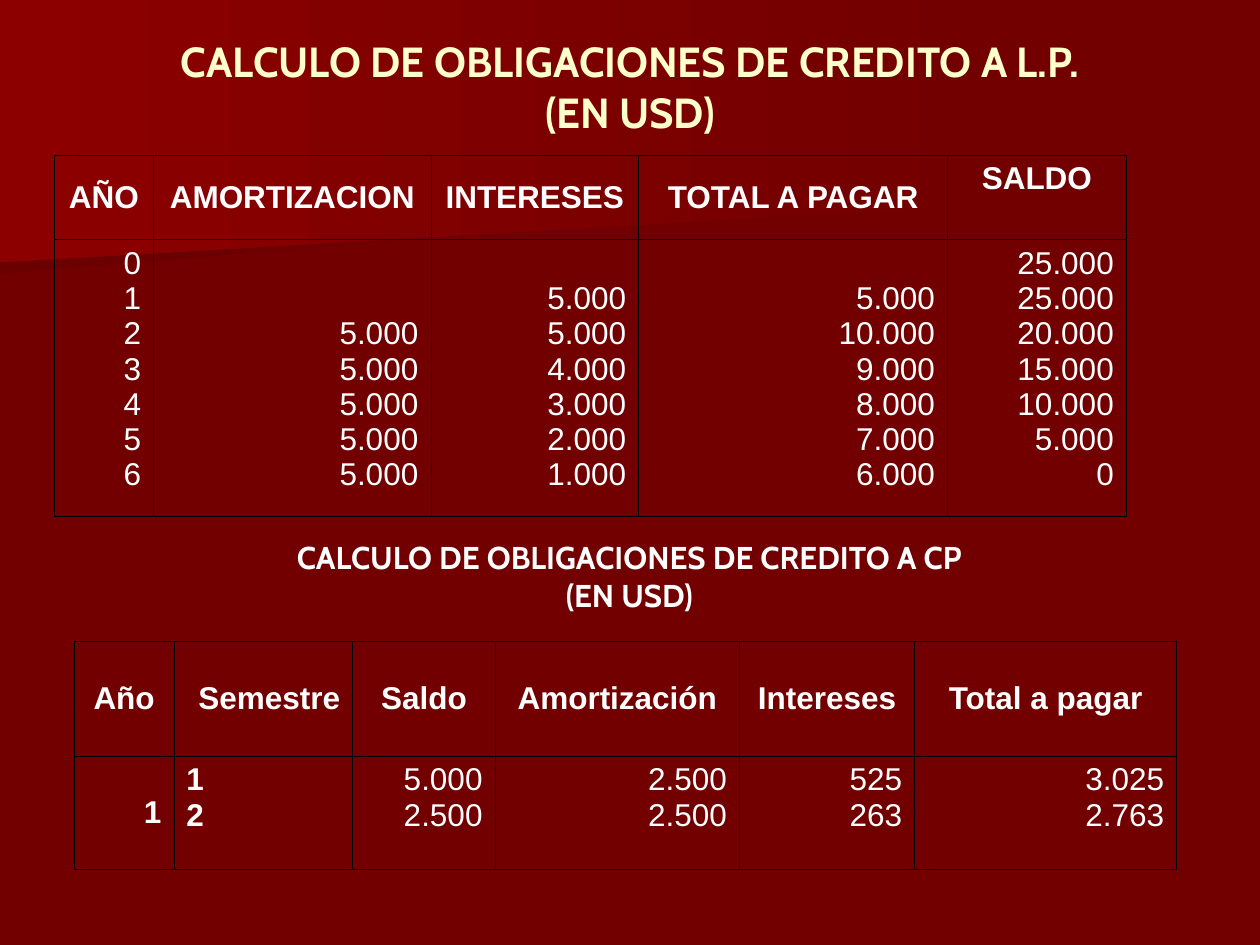
from dataclasses import dataclass

from lxml import etree
from pptx import Presentation
from pptx.dml.color import RGBColor
from pptx.enum import text
from pptx.oxml import ns
from pptx.util import Inches, Pt

LEFT, CENTER, RIGHT = text.PP_ALIGN.LEFT, text.PP_ALIGN.CENTER, text.PP_ALIGN.RIGHT
TOP, MIDDLE = text.MSO_ANCHOR.TOP, text.MSO_ANCHOR.MIDDLE


@dataclass(frozen=True)
class Theme:
    background: str = "720000"
    shade: str = "6A0000"
    glow: str = "8C0000"
    title: str = "FFFFCC"
    body: str = "FFFFFF"
    border: str = "000000"
    heading_font: str = "Cabin"
    table_font: str = "Arial"
    title_size: float = 24
    body_size: float = 18
    border_width: float = 0.45
    line_height: float = 0.28
    margin: float = 0.05


THEME = Theme()


@dataclass(frozen=True)
class Band:
    """Gradient area of the backdrop; points in inches."""
    points: tuple
    left_color: str


@dataclass(frozen=True)
class Heading:
    box: tuple
    content: str
    size: float
    color: str
    anchor: text.MSO_ANCHOR


@dataclass(frozen=True)
class Cell:
    """One paragraph per line, after a number of skipped lines."""
    lines: tuple
    align: text.PP_ALIGN = RIGHT
    anchor: text.MSO_ANCHOR = TOP
    bold: bool = False
    skip: int = 0


@dataclass(frozen=True)
class Grid:
    left: float
    top: float
    widths: tuple
    heights: tuple
    rows: tuple


def header(label: str, align=CENTER, anchor=MIDDLE) -> Cell:
    return Cell((label,), align, anchor, bold=True)


def column(values: str, skip: int = 0) -> Cell:
    return Cell(tuple(values.split()), skip=skip)


BANDS = (
    Band(((7.78, 1.53), (0, 2.17), (0, 1.01), (7.79, 1.01), (7.78, 1.28)), THEME.shade),
    Band(((7.92, 1.62), (0, 2.08), (0, 0), (7.92, 0)), THEME.glow),
)

HEADINGS = (
    Heading((0.5, 0.3, 9, 0.77), "CALCULO DE OBLIGACIONES DE CREDITO A L.P.\v(EN USD)",
            THEME.title_size, THEME.title, MIDDLE),
    Heading((0.98, 4.22, 8.03, 0.7), "CALCULO DE OBLIGACIONES DE CREDITO A CP\n(EN USD)",
            THEME.body_size, THEME.body, TOP),
)

LONG_TERM = Grid(
    0.43, 1.23, (0.79, 2.2, 1.65, 2.45, 1.42), (0.67, 2.2),
    (
        (header("AÑO"), header("AMORTIZACION"), header("INTERESES"),
         header("TOTAL A PAGAR"), header("SALDO", anchor=TOP)),
        (column("0 1 2 3 4 5 6"),
         column("5.000 5.000 5.000 5.000 5.000", skip=2),
         column("5.000 5.000 4.000 3.000 2.000 1.000", skip=1),
         column("5.000 10.000 9.000 8.000 7.000 6.000", skip=1),
         column("25.000 25.000 20.000 15.000 10.000 5.000 0")),
    ),
)

SHORT_TERM = Grid(
    0.59, 5.09, (0.79, 1.42, 1.13, 1.94, 1.39, 2.08), (0.91, 0.9),
    (
        (header("Año"), header("Semestre", RIGHT), header("Saldo"),
         header("Amortización"), header("Intereses"), header("Total a pagar")),
        (header("1", RIGHT), Cell(("1", "2"), LEFT, bold=True),
         column("5.000 2.500"), column("2.500 2.500"),
         column("525 263"), column("3.025 2.763")),
    ),
)


def rgb(color: str) -> RGBColor:
    return RGBColor.from_string(color)


def style_paragraphs(frame, align, font: str, size: float, color: str, bold: bool) -> None:
    for paragraph in frame.paragraphs:
        paragraph.alignment = align
        paragraph.font.name = font
        paragraph.font.size = Pt(size)
        paragraph.font.bold = bold
        paragraph.font.color.rgb = rgb(color)


def draw_band(slide, band: Band) -> None:
    start, *others = [(Inches(x), Inches(y)) for x, y in band.points]
    builder = slide.shapes.build_freeform(*start)
    builder.add_line_segments(others, close=True)
    shape = builder.convert_to_shape()
    shape.shadow.inherit = False
    shape.line.fill.background()
    shape.fill.gradient()
    shape.fill.gradient_angle = 180
    for stop, color in zip(shape.fill.gradient_stops, (THEME.background, band.left_color)):
        stop.color.rgb = rgb(color)


def draw_heading(slide, heading: Heading) -> None:
    frame = slide.shapes.add_textbox(*map(Inches, heading.box)).text_frame
    frame.word_wrap = True
    frame.vertical_anchor = heading.anchor
    frame.text = heading.content
    style_paragraphs(frame, CENTER, THEME.heading_font, heading.size, heading.color, True)


def add_borders(table_cell) -> None:
    properties = table_cell._tc.get_or_add_tcPr()
    for side in ("a:lnL", "a:lnR", "a:lnT", "a:lnB"):
        line = etree.SubElement(properties, ns.qn(side), w=str(Pt(THEME.border_width)))
        fill = etree.SubElement(line, ns.qn("a:solidFill"))
        etree.SubElement(fill, ns.qn("a:srgbClr"), val=THEME.border)


def fill_cell(table_cell, cell: Cell) -> None:
    add_borders(table_cell)
    table_cell.fill.background()
    table_cell.vertical_anchor = cell.anchor
    table_cell.margin_top = Inches(THEME.margin + cell.skip * THEME.line_height)
    table_cell.margin_bottom = Inches(THEME.margin)
    table_cell.text = "\n".join(cell.lines)
    style_paragraphs(table_cell.text_frame, cell.align, THEME.table_font,
                     THEME.body_size, THEME.body, cell.bold)


def draw_grid(slide, grid: Grid) -> None:
    table = slide.shapes.add_table(
        len(grid.heights), len(grid.widths), Inches(grid.left), Inches(grid.top),
        Inches(sum(grid.widths)), Inches(sum(grid.heights))).table
    table.first_row = table.horz_banding = False
    for table_column, width in zip(table.columns, grid.widths):
        table_column.width = Inches(width)
    for table_row, height, cells in zip(table.rows, grid.heights, grid.rows):
        table_row.height = Inches(height)
        for table_cell, cell in zip(table_row.cells, cells):
            fill_cell(table_cell, cell)


def main() -> None:
    presentation = Presentation()
    presentation.slide_width, presentation.slide_height = Inches(10), Inches(7.5)
    slide = presentation.slides.add_slide(presentation.slide_layouts[6])
    slide.background.fill.solid()
    slide.background.fill.fore_color.rgb = rgb(THEME.background)
    for band in BANDS:
        draw_band(slide, band)
    for heading in HEADINGS:
        draw_heading(slide, heading)
    for grid in (LONG_TERM, SHORT_TERM):
        draw_grid(slide, grid)
    presentation.save("out.pptx")


if __name__ == "__main__":
    main()
